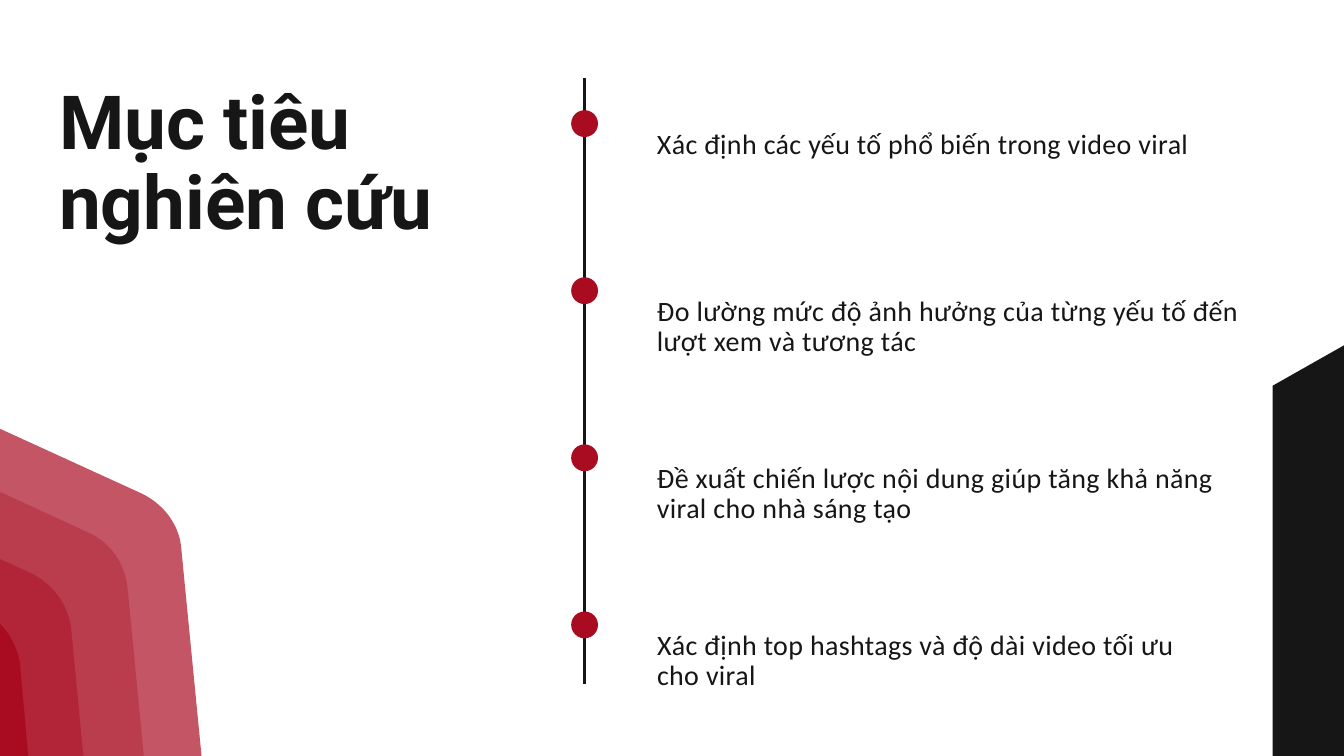
from lxml import etree
from pptx import Presentation
from pptx.dml.color import RGBColor
from pptx.enum.shapes import MSO_CONNECTOR, MSO_SHAPE
from pptx.enum.text import MSO_ANCHOR, MSO_AUTO_SIZE, PP_ALIGN
from pptx.oxml.ns import qn
from pptx.util import Inches, Pt

LINE, OVAL = MSO_CONNECTOR.STRAIGHT, MSO_SHAPE.OVAL
TOP, LEFT, FIXED = MSO_ANCHOR.TOP, PP_ALIGN.LEFT, MSO_AUTO_SIZE.NONE

TITLE = "Mục tiêu nghiên cứu"
GOALS = [
    ("Xác định các yếu tố phổ biến trong video viral", 4.2),
    ("Đo lường mức độ ảnh hưởng của từng yếu tố đến lượt xem và tương tác", 4.57),
    ("Đề xuất chiến lược nội dung giúp tăng khả năng viral cho nhà sáng tạo", 4.36),
    ("Xác định top hashtags và độ dài video tối ưu cho viral", 4.05),
]
WIDE = 10
HIGH = WIDE * 9 / 16
RINGS = [
    ("C35564", 3.19, [(1.05, 3.67), (1.22, 3.75), (1.34, 3.91), (1.35, 4.09)], 1.5),
    ("BA3D4D", 3.66, [(0.65, 3.96), (0.82, 4.03), (0.93, 4.19), (0.95, 4.38)], 1.07),
    ("B22437", 4.16, [(0.22, 4.26), (0.39, 4.34), (0.51, 4.5), (0.53, 4.68)], 0.62),
    ("A90C21", 4.64, [(0.05, 4.7), (0.1, 4.77), (0.14, 4.86), (0.15, 4.95)], 0.21),
]
WEDGE = [(WIDE, 2.57), (WIDE, HIGH), (9.47, HIGH), (9.47, 2.87)]
THEME = {
    "ink": RGBColor.from_string("171616"),
    "dot": RGBColor.from_string("A90C21"),
    "title": {"name": "Roboto", "size": Pt(40), "bold": True},
    "goal": {"name": "Calibri", "size": Pt(15), "bold": False},
}
FRAME = {"word_wrap": True, "auto_size": FIXED, "vertical_anchor": TOP}
PARA = {"alignment": LEFT, "line_spacing": 0.9, "space_before": Pt(0)}
AXIS, DOT, FIRST, LAST = 4.35, 0.2, 0.82, 4.55
STEP = (LAST - FIRST) / (len(GOALS) - 1)


def apply(item, values):
    for key, value in values.items():
        setattr(item, key, value)


def write(shape, text, style):
    frame = shape.text_frame
    apply(frame, FRAME)
    para = frame.paragraphs[0]
    apply(para, PARA)
    run = para.add_run()
    run.text = text
    apply(run.font, THEME[style])
    run.font.color.rgb = THEME["ink"]
    return run


def paint(shape, color):
    shape.shadow.inherit = False
    shape.fill.solid()
    shape.fill.fore_color.rgb = color
    shape.line.fill.background()


def curve(ends, count=24):
    for i in range(count + 1):
        t = i / count
        parts = ((1 - t) ** 3, 3 * t * (1 - t) ** 2, 3 * t * t * (1 - t), t ** 3)
        yield tuple(sum(w * p[k] for w, p in zip(parts, ends)) for k in (0, 1))


def outline(shapes, points, color):
    spots = [(Inches(x), Inches(y)) for x, y in points]
    pen = shapes.build_freeform(*spots[0], scale=1.0)
    pen.add_line_segments(spots[1:], close=True)
    paint(pen.convert_to_shape(), color)


def main():
    deck = Presentation()
    deck.slide_width, deck.slide_height = Inches(WIDE), Inches(HIGH)
    slide = deck.slides.add_slide(deck.slide_layouts[5])
    shapes = slide.shapes

    title = shapes.title
    apply(title, {"left": Inches(0.34), "top": Inches(0.58),
                  "width": Inches(3.46), "height": Inches(1.25)})
    write(title, TITLE, "title")

    for color, top, bend, foot in RINGS:
        points = [(0, top), *curve(bend), (foot, HIGH), (0, HIGH)]
        outline(shapes, points, RGBColor.from_string(color))

    track = shapes.add_group_shape().shapes
    axis = track.add_connector(LINE, Inches(AXIS), Inches(0.58), Inches(AXIS), Inches(5.09))
    axis.line.color.rgb = THEME["ink"]
    axis.line.width = Pt(2)
    etree.SubElement(axis._element.spPr, qn("a:effectLst"))

    for i, (text, width) in enumerate(GOALS):
        top = FIRST + i * STEP
        dot = track.add_shape(OVAL, Inches(AXIS - DOT / 2), Inches(top), Inches(DOT), Inches(DOT))
        paint(dot, THEME["dot"])
        box = shapes.add_textbox(Inches(4.79), Inches(top + 0.1), Inches(width), Inches(0.44))
        run = write(box, text, "goal")
        run.font._element.set("spc", "20")

    outline(shapes, WEDGE, THEME["ink"])
    deck.save("out.pptx")


if __name__ == "__main__":
    main()
